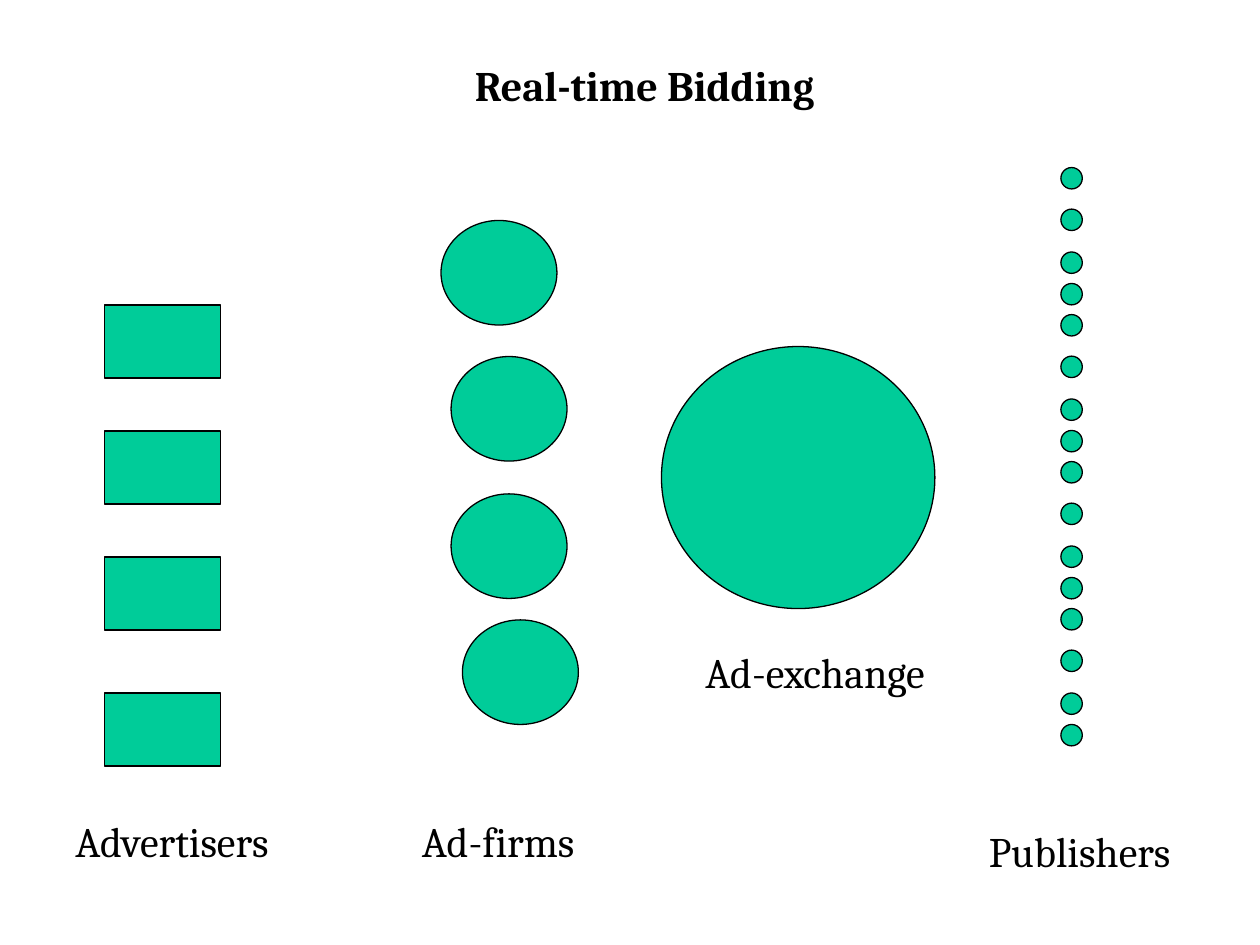
import pptx
import pptx.util
import pptx.dml.color
import pptx.enum.shapes
import pptx.enum.text

Inches = pptx.util.Inches
Pt = pptx.util.Pt
SHAPE = pptx.enum.shapes.MSO_SHAPE

GREEN = pptx.dml.color.RGBColor(0x00, 0xCC, 0x99)
BLACK = pptx.dml.color.RGBColor(0x00, 0x00, 0x00)
FONT = "Cambria"


def add_node(slide, kind, left, top, width, height):
    node = slide.shapes.add_shape(
        kind, Inches(left), Inches(top), Inches(width), Inches(height))
    node.shadow.inherit = False
    node.fill.solid()
    node.fill.fore_color.rgb = GREEN
    node.line.color.rgb = BLACK
    node.line.width = Pt(0.75)


def add_label(slide, text, left, top, width, bold=False):
    box = slide.shapes.add_textbox(
        Inches(left), Inches(top), Inches(width), Inches(0.5))
    frame = box.text_frame
    frame.word_wrap = False
    frame.auto_size = pptx.enum.text.MSO_AUTO_SIZE.SHAPE_TO_FIT_TEXT
    run = frame.paragraphs[0].add_run()
    run.text = text
    run.font.name = FONT
    run.font.size = Pt(24)
    run.font.bold = bold
    run.font.color.rgb = BLACK


def main():
    deck = pptx.Presentation()
    deck.slide_width = Inches(10)
    deck.slide_height = Inches(7.5)
    slide = deck.slides.add_slide(deck.slide_layouts[6])

    add_label(slide, "Real-time Bidding", 3.67, 0.42, 3.24, bold=True)

    for top in (2.42, 3.42, 4.42, 5.5):
        add_node(slide, SHAPE.RECTANGLE, 0.83, top, 0.92, 0.58)
    add_label(slide, "Advertisers", 0.5, 6.42, 1.84)

    for left, top in ((3.5, 1.75), (3.58, 2.83), (3.58, 3.92), (3.67, 4.92)):
        add_node(slide, SHAPE.OVAL, left, top, 0.92, 0.83)
    add_label(slide, "Ad-firms", 3.25, 6.42, 1.45)

    add_node(slide, SHAPE.OVAL, 5.25, 2.75, 2.17, 2.08)
    add_label(slide, "Ad-exchange", 5.5, 5.08, 2.12)

    for group in range(4):
        for step in (0, 0.33, 0.67, 0.92):
            top = 1.33 + group * 7 / 6 + step
            add_node(slide, SHAPE.OVAL, 8.42, top, 0.17, 0.17)
    add_label(slide, "Publishers", 7.75, 6.5, 1.7)

    deck.save("out.pptx")


if __name__ == "__main__":
    main()
